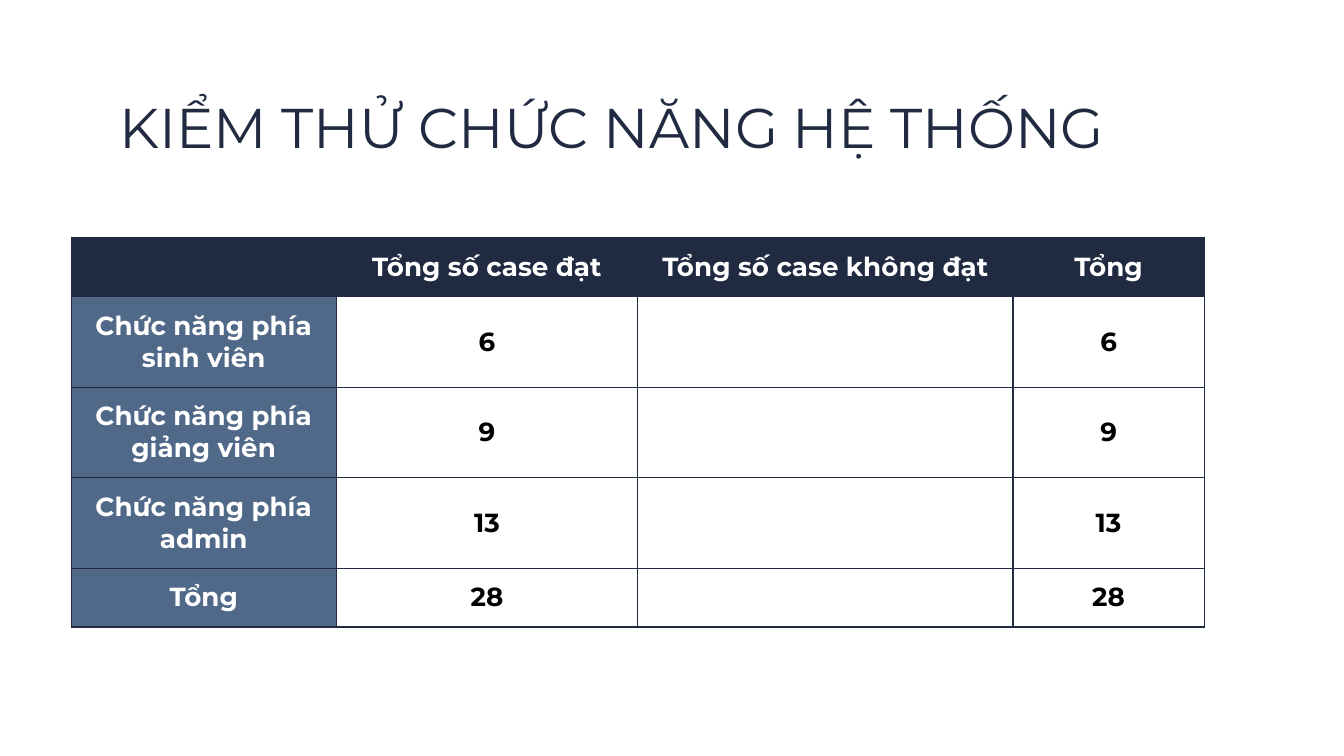
from lxml import etree
from pptx import Presentation
from pptx.dml.color import RGBColor
from pptx.enum import text
from pptx.oxml import ns
from pptx.util import Pt

NAVY = RGBColor(0x20, 0x2A, 0x41)
STEEL = RGBColor(0x51, 0x69, 0x88)
WHITE = RGBColor(0xFF, 0xFF, 0xFF)
BLACK = RGBColor(0, 0, 0)
FONT = "Montserrat"
PAD = Pt(7.2)
INSETS = {"margin_left": PAD, "margin_right": PAD,
          "margin_top": PAD, "margin_bottom": PAD}
WIDTHS = [141.84, 161.28, 200.88, 102.24]
HEIGHTS = [31.5, 48.5, 48.5, 48.5, 31.5]
ROWS = [
    ["", "Tổng số case đạt", "Tổng số case không đạt", "Tổng"],
    ["Chức năng phía sinh viên", "6", "", "6"],
    ["Chức năng phía giảng viên", "9", "", "9"],
    ["Chức năng phía admin", "13", "", "13"],
    ["Tổng", "28", "", "28"],
]


def apply(item, values):
    for name, value in values.items():
        setattr(item, name, value)


def write(para, words, size, color, bold=False):
    run = para.add_run()
    run.text = words
    apply(run.font, {"name": FONT, "size": Pt(size), "bold": bold})
    run.font.color.rgb = color


def border(cell):
    props = cell._tc.get_or_add_tcPr()
    for side in ("lnL", "lnR", "lnT", "lnB"):
        line = etree.SubElement(props, ns.qn("a:" + side), w=str(Pt(0.75)))
        fill = etree.SubElement(line, ns.qn("a:solidFill"))
        etree.SubElement(fill, ns.qn("a:srgbClr"), val=str(NAVY))


def title(slide, left, top, width, height):
    box = slide.shapes.add_textbox(Pt(left), Pt(top), Pt(width), Pt(height))
    frame = box.text_frame
    apply(frame, {"word_wrap": True,
                  "vertical_anchor": text.MSO_ANCHOR.TOP, **INSETS})
    write(frame.paragraphs[0], "KIỂM THỬ CHỨC NĂNG HỆ THỐNG", 30, NAVY)


def style(cell, words, fill, color):
    apply(cell, {"vertical_anchor": text.MSO_ANCHOR.MIDDLE, **INSETS})
    border(cell)
    if fill is None:
        cell.fill.background()
    else:
        cell.fill.solid()
        cell.fill.fore_color.rgb = fill
    para = cell.text_frame.paragraphs[0]
    para.alignment = text.PP_ALIGN.CENTER
    if words:
        write(para, words, 14, color, True)
    else:
        para.font.size = Pt(14)


def results(slide, left, top, width, height):
    frame = slide.shapes.add_table(len(ROWS), len(WIDTHS), Pt(left), Pt(top),
                                   Pt(width), Pt(height))
    table = frame.table
    apply(table, {"first_row": False, "horz_banding": False})
    for col, size in zip(table.columns, WIDTHS):
        col.width = Pt(size * width / sum(WIDTHS))
    for row, size in zip(table.rows, HEIGHTS):
        row.height = Pt(size * height / sum(HEIGHTS))
    for r, row in enumerate(ROWS):
        for c, words in enumerate(row):
            fill = NAVY if r == 0 else STEEL if c == 0 else None
            style(table.cell(r, c), words, fill, WHITE if fill else BLACK)


def main():
    deck = Presentation()
    apply(deck, {"slide_width": Pt(720), "slide_height": Pt(405)})
    slide = deck.slides.add_slide(deck.slide_layouts[6])
    title(slide, 56.88, 42.48, 606.96, 45.36)
    results(slide, 38.16, 127.44, 606.96, 208.5)
    deck.save("out.pptx")


if __name__ == "__main__":
    main()
